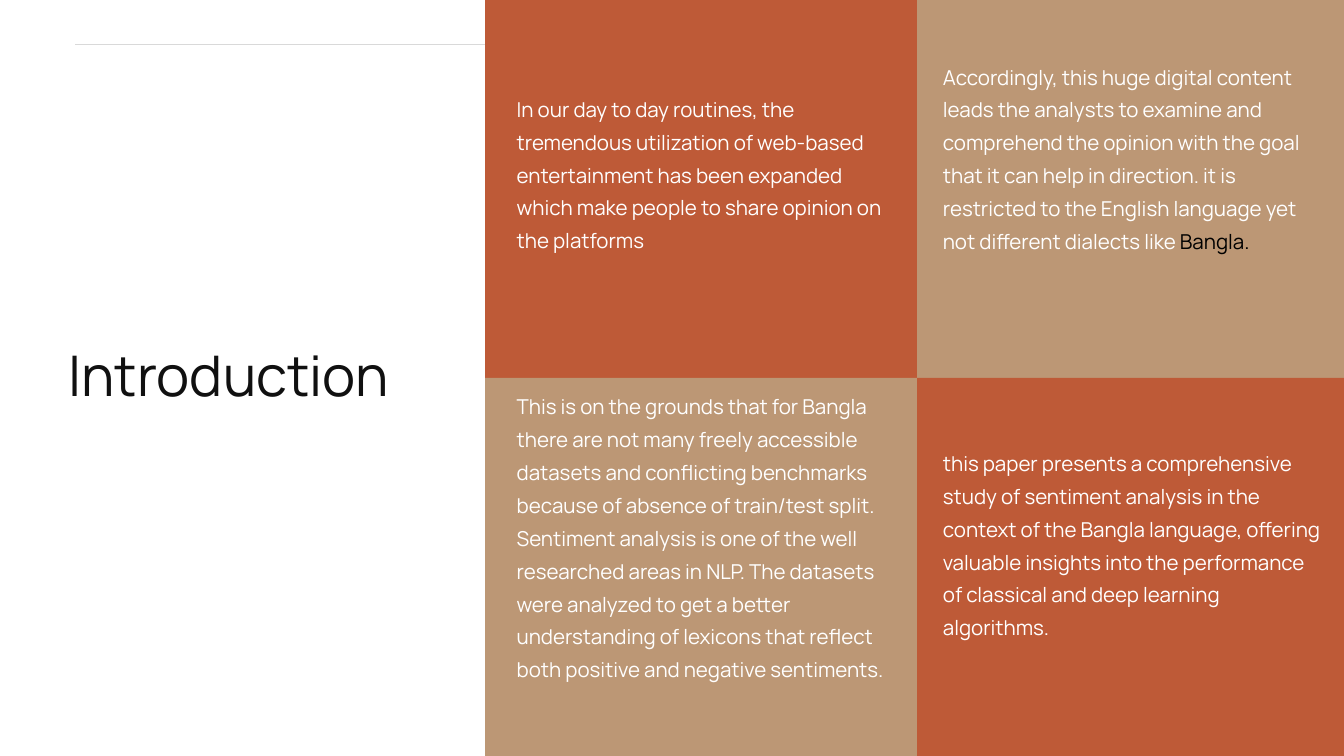
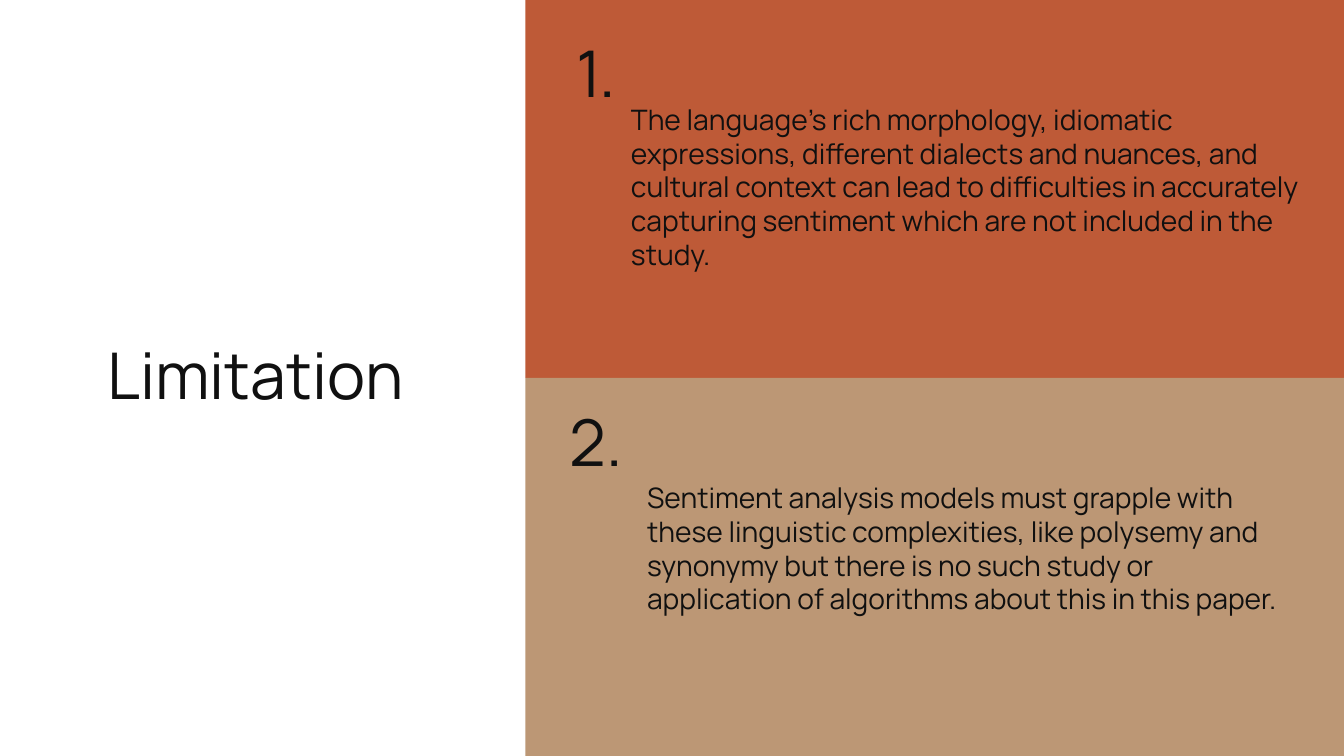
"""Build the Introduction and Limitation slides as coloured text panels."""
from lxml import etree
from pptx import Presentation
from pptx import util as u
from pptx.dml.color import RGBColor
from pptx.enum import shapes, text
from pptx.oxml.ns import qn

RUST = RGBColor(0xBE, 0x5A, 0x37)
TAN = RGBColor(0xBC, 0x97, 0x75)
RULE = RGBColor(0xD9, 0xD9, 0xD9)
INK = RGBColor(0x10, 0x10, 0x10)
BLACK = RGBColor(0, 0, 0)
WHITE = RGBColor(255, 255, 255)
FONT = "Manrope"
LEFT, CENTER = text.PP_ALIGN.LEFT, text.PP_ALIGN.CENTER
WIDTH, HEIGHT = 50.8, 28.58
HALF = HEIGHT / 2


def add_panel(s, x, y, w, color):
    sp = s.shapes.add_shape(shapes.MSO_SHAPE.RECTANGLE,
                            u.Cm(x), u.Cm(y), u.Cm(w), u.Cm(HALF))
    sp.shadow.inherit = False
    sp.fill.solid()
    sp.fill.fore_color.rgb = color
    sp.line.fill.background()


def set_text(sp, box, runs, size, spacing, align=LEFT):
    sp.left, sp.top, sp.width, sp.height = [u.Cm(v) for v in box]
    tf = sp.text_frame
    tf.margin_left = tf.margin_top = tf.margin_right = tf.margin_bottom = 0
    tf.word_wrap = True
    tf.auto_size = text.MSO_AUTO_SIZE.NONE
    tf.vertical_anchor = text.MSO_ANCHOR.TOP
    p = tf.paragraphs[0]
    p.alignment = align
    p.line_spacing = u.Pt(spacing)
    for words, color in runs:
        r = p.add_run()
        r.text = words
        r.font.name = FONT
        r.font.size = u.Pt(size)
        r.font.color.rgb = color


prs = Presentation()
prs.slide_width, prs.slide_height = u.Cm(WIDTH), u.Cm(HEIGHT)
title_only = prs.slide_layouts[5]

s = prs.slides.add_slide(title_only)
set_text(s.shapes.title, (1.65, 12.88, 14, 2.67), [("Introduction", INK)], 60, 72, CENTER)

rule = s.shapes.add_connector(shapes.MSO_CONNECTOR.STRAIGHT,
                              u.Cm(2.84), u.Cm(1.68), u.Cm(47.96), u.Cm(1.68))
rule.line.color.rgb = RULE
rule.line.width = u.Pt(1.5)
etree.SubElement(rule._element.spPr, qn("a:effectLst"))

columns = [(18.34, 19.53, 14.45), (34.67, 35.64, 14.38)]
edges = [x for x, _, _ in columns] + [WIDTH]
intro = [
    (0, 0, 3.35, [("In our day to day routines, the tremendous utilization of web-based "
                   "entertainment has been expanded which make people to share opinion on "
                   "the platforms", WHITE)]),
    (0, 1, 2.13, [("Accordingly, this huge digital content leads the analysts to examine and "
                   "comprehend the opinion with the goal that it can help in direction. it is "
                   "restricted to the English language yet not different dialects like ", WHITE),
                  ("Bangla.", BLACK)]),
    (1, 0, 14.6, [("This is on the grounds that for Bangla there are not many freely "
                   "accessible datasets and conflicting benchmarks because of absence of "
                   "train/test split. Sentiment analysis is one of the well researched areas "
                   "in NLP. The datasets were analyzed to get a better understanding of "
                   "lexicons that reflect both positive and negative sentiments.", WHITE)]),
    (1, 1, 16.74, [("this paper presents a comprehensive study of sentiment analysis in the "
                    "context of the Bangla language, offering valuable insights into the "
                    "performance of classical and deep learning algorithms.", WHITE)]),
]
for row, col, top, runs in intro:
    x, text_x, text_w = columns[col]
    add_panel(s, x, row * HALF, edges[col + 1] - x, (RUST, TAN)[(row + col) % 2])
    sp = s.shapes.add_textbox(0, 0, 0, 0)
    set_text(sp, (text_x, top, text_w, HALF * (row + 1) - top), runs, 22, 35.2)

s = prs.slides.add_slide(title_only)
set_text(s.shapes.title, (2.84, 12.67, 13.64, 3.07), [("Limitation", INK)], 69, 82.8, CENTER)

panel_x = 19.86
limits = [
    (RUST, 1.24, (23.85, 3.86, 25.5, 6.45),
     "The language's rich morphology, idiomatic expressions, different dialects and nuances, "
     "and cultural context can lead to difficulties in accurately capturing sentiment which "
     "are not included in the study."),
    (TAN, 15.19, (24.46, 18.16, 24.28, 6.45),
     "Sentiment analysis models must grapple with these linguistic complexities, like polysemy "
     "and synonymy but there is no such study or application of algorithms about this in this "
     "paper."),
]
for i, (color, number_y, box, words) in enumerate(limits):
    add_panel(s, panel_x, i * HALF, WIDTH - panel_x, color)
    number = s.shapes.add_textbox(0, 0, 0, 0)
    set_text(number, (21.21, number_y, 2.64, 3.07), [(f"{i + 1}.", INK)], 69, 82.8, CENTER)
    body = s.shapes.add_textbox(0, 0, 0, 0)
    set_text(body, box, [(words, INK)], 30.2, 36.2)

prs.save("out.pptx")
